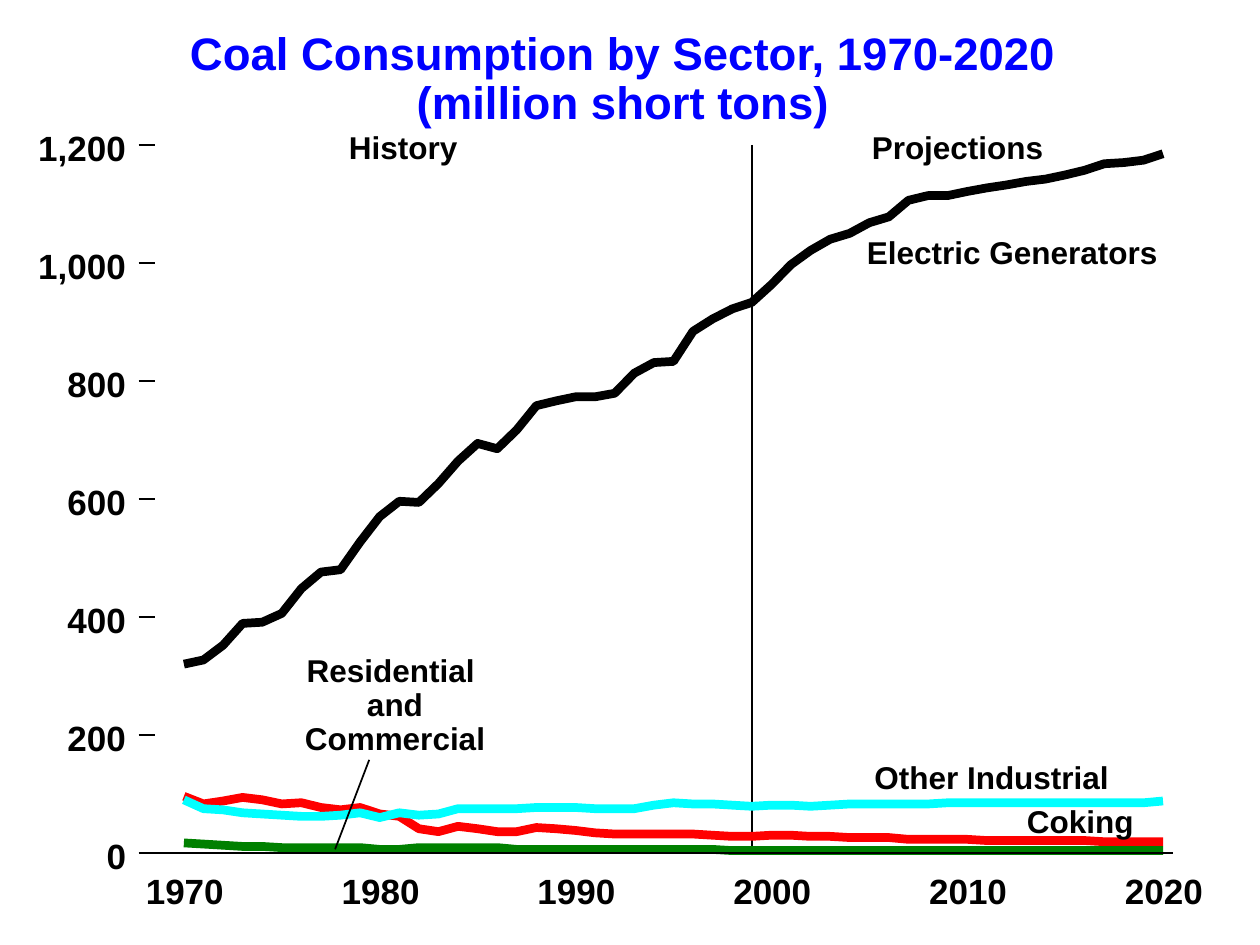
"""Build a slide with a line graph of coal consumption by sector."""
from dataclasses import dataclass

from lxml.etree import SubElement
from pptx import Presentation
from pptx.dml.color import RGBColor as Color
from pptx.enum.shapes import MSO_CONNECTOR as Connector
from pptx.enum.text import PP_ALIGN as Align
from pptx.oxml.ns import qn
from pptx.util import Pt


@dataclass(frozen=True)
class Theme:
    font: str = "Arial"
    title: str = "0000FF"
    ink: str = "000000"
    electric: str = "000000"
    coking: str = "FF0000"
    industrial: str = "00FFFF"
    residential: str = "008000"
    title_size: int = 26
    axis_size: int = 20
    label_size: int = 18
    thin: int = 1
    thick: int = 5


THEME = Theme()
FIRST_YEAR, LAST_YEAR, LAST_HISTORY_YEAR = 1970, 2020, 1999
PLOT_LEFT, YEAR_STEP = 105.1, 11.19
PLOT_TOP, BASELINE, MAX_TONS = 82.8, 487.4, 1200
TICK_LEFT, AXIS_LEFT, AXIS_RIGHT = 79.2, 88.6, 670.3

ELECTRIC = [
    320, 327, 352, 389, 391, 406, 448, 476, 480, 527,
    570, 596, 594, 626, 664, 694, 685, 717, 758, 766,
    773, 773, 779, 813, 831, 833, 884, 905, 922, 933,
    963, 997, 1021, 1040, 1050, 1068, 1078, 1106, 1114, 1114,
    1121, 1127, 1132, 1138, 1142, 1149, 1157, 1168, 1170, 1174, 1185,
]
COKING = [
    96, 83, 88, 94, 90, 83, 85, 77, 73, 77,
    66, 62, 41, 36, 45, 41, 36, 36, 43, 41,
    38, 34, 32, 32, 32, 32, 32, 30, 28, 28,
    30, 30, 28, 28, 26, 26, 26, 23, 23, 23,
    23, 21, 21, 21, 21, 21, 21, 19, 19, 19, 19,
]
INDUSTRIAL = [
    90, 75, 73, 68, 66, 64, 62, 62, 64, 68,
    60, 68, 64, 66, 75, 75, 75, 75, 77, 77,
    77, 75, 75, 75, 81, 85, 83, 83, 81, 79,
    81, 81, 79, 81, 83, 83, 83, 83, 83, 85,
    85, 85, 85, 85, 85, 85, 85, 85, 85, 85, 88,
]
RESIDENTIAL = [17, 15, 13, 11, 11] + [9] * 5 + [6] * 2 + [9] * 5 + [6] * 11 + [4] * 23


def year_x(year):
    """Return the horizontal position of a year in points."""
    return PLOT_LEFT + (year - FIRST_YEAR) * YEAR_STEP


def tons_y(tons):
    """Return the vertical position of a tonnage in points."""
    return BASELINE - tons * (BASELINE - PLOT_TOP) / MAX_TONS


def add_text(slide, text, left, top, width, height, *, size=THEME.label_size,
             color=THEME.ink, align=Align.LEFT, spacing=1.0):
    """Add a bold text box with one paragraph per line of text."""
    box = slide.shapes.add_textbox(Pt(left), Pt(top), Pt(width), Pt(height))
    frame = box.text_frame
    frame.word_wrap = True
    frame.margin_left = frame.margin_right = frame.margin_top = frame.margin_bottom = 0
    for index, line in enumerate(text.split("\n")):
        para = frame.add_paragraph() if index else frame.paragraphs[0]
        para.alignment = align
        para.line_spacing = spacing
        span = para.add_run()
        span.text = line
        span.font.name = THEME.font
        span.font.size = Pt(size)
        span.font.bold = True
        span.font.color.rgb = Color.from_string(color)


def add_line(slide, start, end):
    """Add a thin straight line between two points."""
    line = slide.shapes.add_connector(Connector.STRAIGHT, *map(Pt, (*start, *end)))
    line.line.color.rgb = Color.from_string(THEME.ink)
    line.line.width = Pt(THEME.thin)
    SubElement(line._element.spPr, qn("a:effectLst"))


def add_series(slide, values, color):
    """Draw yearly values as one open thick line."""
    points = [(Pt(year_x(FIRST_YEAR + index)), Pt(tons_y(tons)))
              for index, tons in enumerate(values)]
    builder = slide.shapes.build_freeform(*points[0])
    builder.add_line_segments(points[1:], close=False)
    curve = builder.convert_to_shape()
    curve.shadow.inherit = False
    curve.fill.background()
    curve.line.color.rgb = Color.from_string(color)
    curve.line.width = Pt(THEME.thick)


def add_axes(slide):
    """Draw both axes with their ticks and labels."""
    for tons in range(0, MAX_TONS + 1, 200):
        y = tons_y(tons)
        add_line(slide, (TICK_LEFT, y), (AXIS_LEFT, y))
        add_text(slide, f"{tons:,}", 20, y - 10.8, 52, 24,
                 size=THEME.axis_size, align=Align.RIGHT)
    add_line(slide, (AXIS_LEFT, BASELINE), (AXIS_RIGHT, BASELINE))
    for year in range(FIRST_YEAR, LAST_YEAR + 1, 10):
        add_text(slide, str(year), year_x(year) - 22.5, 496.8, 46, 24,
                 size=THEME.axis_size, align=Align.CENTER)


def main():
    """Build and save the deck."""
    deck = Presentation()
    deck.slide_width, deck.slide_height = Pt(720), Pt(540)
    page = deck.slides.add_slide(deck.slide_layouts[6])

    add_text(page, "Coal Consumption by Sector, 1970-2020\n(million short tons)",
             107, 18, 498, 56, size=THEME.title_size, color=THEME.title,
             align=Align.CENTER, spacing=0.9)
    divider_x = year_x(LAST_HISTORY_YEAR)
    add_line(page, (divider_x, PLOT_TOP), (divider_x, BASELINE))
    for values, color in (
        (ELECTRIC, THEME.electric),
        (COKING, THEME.coking),
        (INDUSTRIAL, THEME.industrial),
        (RESIDENTIAL, THEME.residential),
    ):
        add_series(page, values, color)
    add_axes(page)

    for text, left, top, width in (
        ("History", 199.4, 73.4, 64),
        ("Projections", 498.2, 73.4, 100),
        ("Coking", 586.8, 458.6, 63),
        ("Electric Generators", 495.4, 133.2, 168),
        ("Other Industrial", 499.7, 433.4, 136),
    ):
        add_text(page, text, left, top, width, 21.6)
    add_text(page, "Residential \nand\nCommercial", 173.7, 374.4, 104, 58.3,
             align=Align.CENTER, spacing=0.9)
    add_line(page, (211, 434.2), (191.5, 485.3))

    deck.save("out.pptx")


if __name__ == "__main__":
    main()
